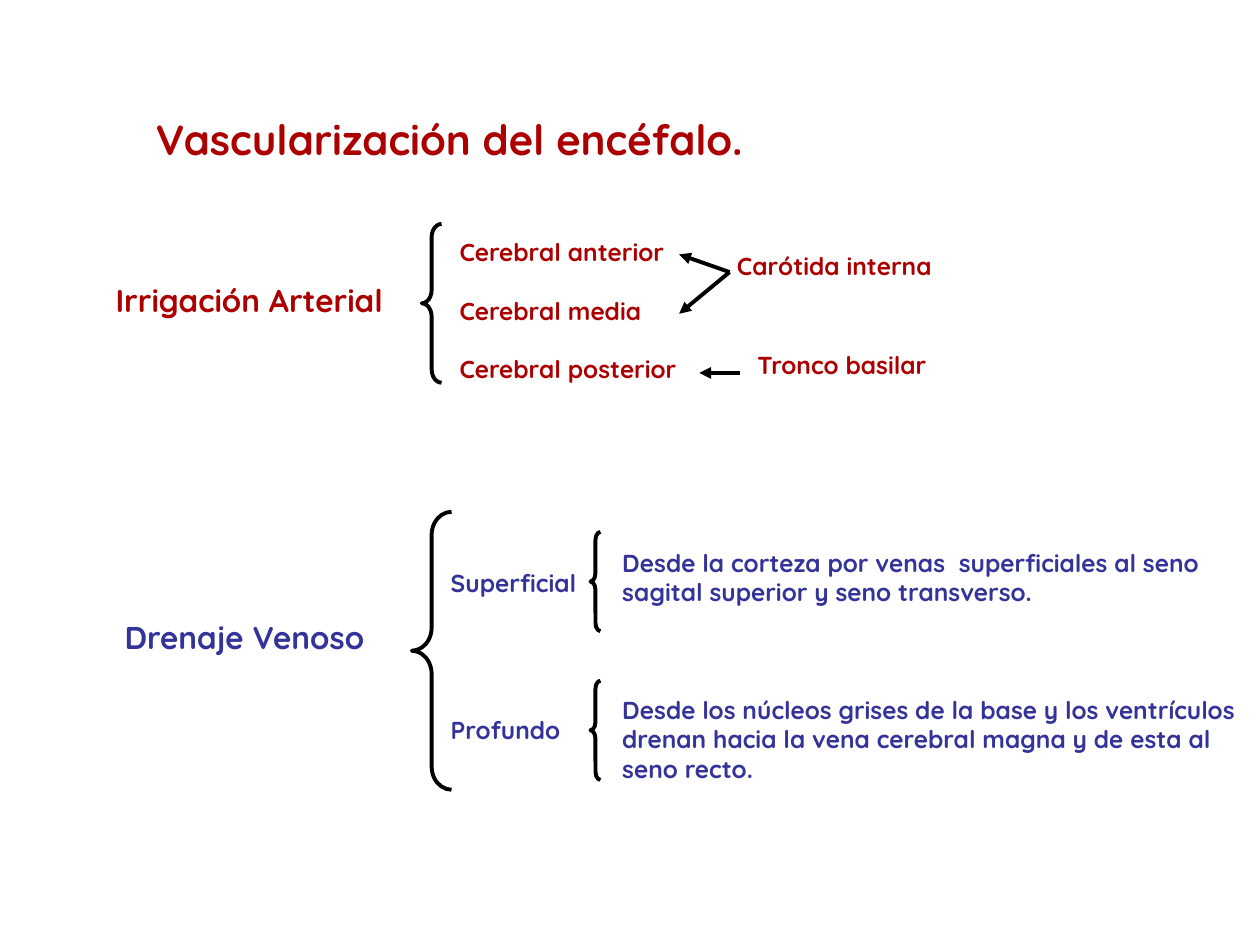
import pptx
import pptx.dml.color
import pptx.enum.shapes
import pptx.oxml
import pptx.oxml.ns
import pptx.util
from dataclasses import dataclass

Pt = pptx.util.Pt


@dataclass(frozen=True)
class Theme:
    arterial: str = "AC0000"
    venous: str = "333399"
    ink: str = "000000"
    shadow: str = "808080"
    font: str = "Quicksand"
    title: int = 24
    heading: int = 18
    body: int = 14
    stroke: float = 2.25
    line_pitch: float = 16.8


theme = Theme()
drawing_ns = pptx.oxml.ns.nsdecls("a")
text_shadow = (
    f'<a:effectLst {drawing_ns}><a:outerShdw dist="17961" dir="2700000" algn="ctr">'
    f'<a:srgbClr val="{theme.shadow}"/></a:outerShdw></a:effectLst>'
)

prs = pptx.Presentation()
prs.slide_width, prs.slide_height = Pt(720), Pt(540)
slide = prs.slides.add_slide(prs.slide_layouts[6])


def add_text(text, *, left, top, width, height, size, color, blank_lines=None):
    """Write one paragraph per line; blank_lines maps a line to the gap above it."""
    box = slide.shapes.add_textbox(Pt(left), Pt(top), Pt(width), Pt(height))
    frame = box.text_frame
    frame.word_wrap = True
    for number, line in enumerate(text.split("\n")):
        paragraph = frame.paragraphs[0] if number == 0 else frame.add_paragraph()
        gap = (blank_lines or {}).get(number, 0)
        if gap:
            paragraph.space_before = Pt(gap * theme.line_pitch)
        run = paragraph.add_run()
        run.text = line
        run.font.size = Pt(size)
        run.font.bold = True
        run.font.color.rgb = pptx.dml.color.RGBColor.from_string(color)
        run.font.fill._xPr.solidFill.addnext(pptx.oxml.parse_xml(text_shadow))
        run.font.name = theme.font


# Title and the two section headings
add_text("Vascularización del encéfalo.", left=82, top=61.2, width=359.5, height=36,
         size=theme.title, color=theme.arterial)
add_text("Irrigación Arterial", left=59, top=157, width=177, height=28.8,
         size=theme.heading, color=theme.arterial)
add_text("Drenaje Venoso", left=64.2, top=349.5, width=155.5, height=28.8,
         size=theme.heading, color=theme.venous)

# Arteries and where they come from
add_text("Cerebral anterior\nCerebral media\nCerebral posterior",
         left=255.5, top=131.8, width=142.5, height=91.4,
         size=theme.body, color=theme.arterial, blank_lines={1: 1, 2: 1})
add_text("Carótida interna", left=414, top=139.7, width=130.3, height=24.5,
         size=theme.body, color=theme.arterial)
add_text("Tronco basilar", left=425.7, top=196.3, width=113.8, height=24.5,
         size=theme.body, color=theme.arterial)

# Veins and their course
add_text("Superficial\nProfundo", left=250.5, top=321.1, width=88.6, height=108,
         size=theme.body, color=theme.venous, blank_lines={1: 4})
add_text("Desde la corteza por venas  superficiales al seno\n"
         "sagital superior y seno transverso.\n"
         "Desde los núcleos grises de la base y los ventrículos\n"
         "drenan hacia la vena cerebral magna y de esta al\n"
         "seno recto.",
         left=348.5, top=309.6, width=371.5, height=158.4,
         size=theme.body, color=theme.venous, blank_lines={2: 3})

# Arrows, with the head at the artery supplied
carotid = (416.9, 155.5)
for artery, source in [
    ((388.1, 145.4), carotid),
    ((388.1, 179.3), carotid),
    ((399.6, 213.1), (422.6, 213.1)),
]:
    arrow = slide.shapes.add_connector(
        pptx.enum.shapes.MSO_CONNECTOR.STRAIGHT, *map(Pt, artery + source))
    arrow.line.width = Pt(theme.stroke)
    arrow.line.color.rgb = pptx.dml.color.RGBColor.from_string(theme.ink)
    arrow.line._get_or_add_ln().append(
        pptx.oxml.parse_xml(f'<a:headEnd {drawing_ns} type="triangle"/>'))
    arrow._element.spPr.append(pptx.oxml.parse_xml(f"<a:effectLst {drawing_ns}/>"))

# Braces: arterial, superficial, deep, venous; each curl is 1/12 of the height
for left, top, width, height in [
    (241, 128, 11.3, 90.7),
    (337.4, 304, 5.7, 56.7),
    (337.4, 389, 5.7, 56.7),
    (235.3, 292.5, 22.7, 158.8),
]:
    brace = slide.shapes.add_shape(
        pptx.enum.shapes.MSO_SHAPE.LEFT_BRACE, Pt(left), Pt(top), Pt(width), Pt(height))
    brace.adjustments[0] = height / 12 / width
    brace.shadow.inherit = False
    brace.fill.background()
    brace.line.width = Pt(theme.stroke)
    brace.line.color.rgb = pptx.dml.color.RGBColor.from_string(theme.ink)

prs.save("out.pptx")
